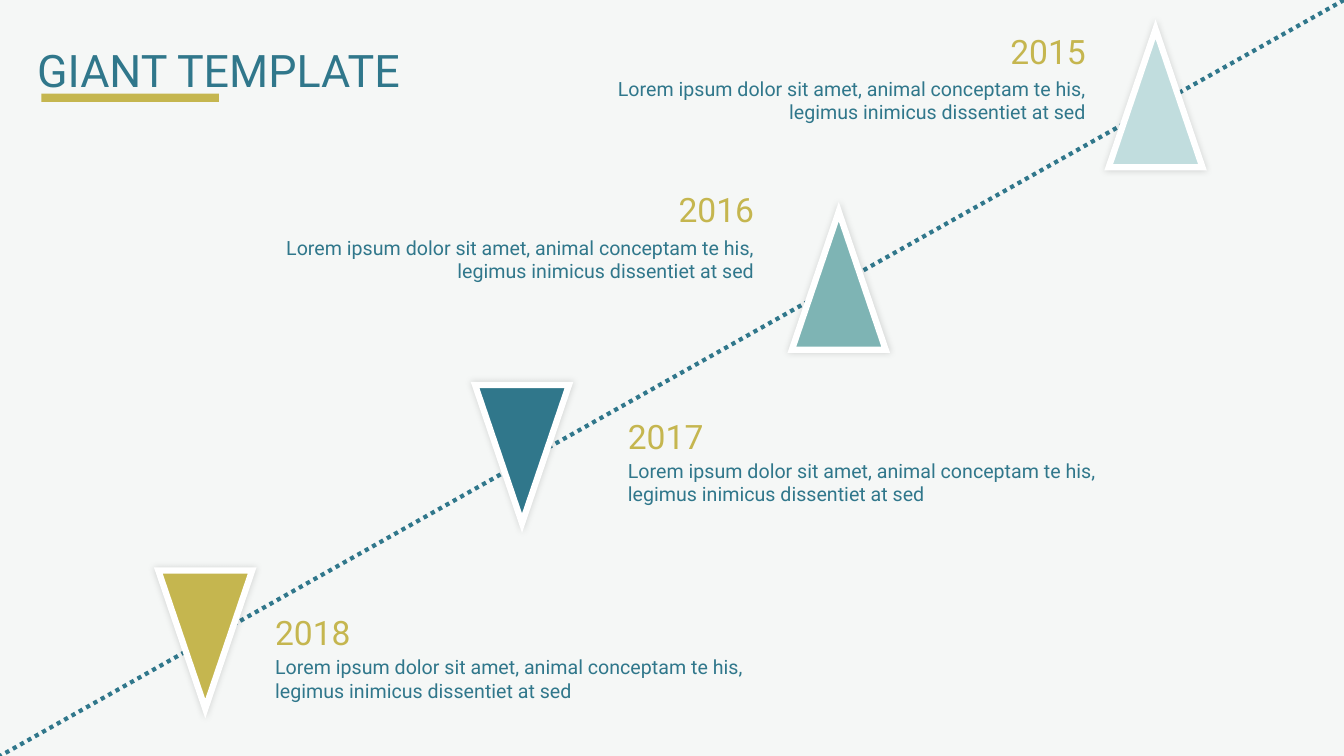
from lxml.etree import SubElement
from pptx import Presentation
from pptx.dml.color import RGBColor
from pptx.enum.dml import MSO_LINE
from pptx.enum.shapes import MSO_CONNECTOR, MSO_SHAPE
from pptx.enum.text import MSO_AUTO_SIZE as AutoSize, PP_ALIGN as Align
from pptx.oxml.ns import qn
from pptx.util import Inches, Pt

BACKGROUND = RGBColor(0xF5, 0xF7, 0xF6)
WHITE = RGBColor(0xFF, 0xFF, 0xFF)
TEAL = RGBColor(0x30, 0x77, 0x8B)
GOLD = RGBColor(0xC5, 0xB6, 0x4F)
SEA = RGBColor(0x7E, 0xB4, 0xB4)
MIST = RGBColor(0xC1, 0xDD, 0xDE)
FONT = "Roboto"
LOREM = "Lorem ipsum dolor sit amet, animal conceptam te his, legimus inimicus dissentiet at sed"

FIRST_LEFT, STEP = 11.78, 23.57
TRIANGLE_WIDTH, TRIANGLE_HEIGHT = 6.98, 18.27
BODY_WIDTH, BODY_HEIGHT = 38.25, 7.6
YEAR_WIDTH, YEAR_HEIGHT = 19.35, 5.07

presentation = Presentation()
presentation.slide_width = Inches(13.33)
presentation.slide_height = Inches(7.5)
slide = presentation.slides.add_slide(presentation.slide_layouts[6])
slide.background.fill.solid()
slide.background.fill.fore_color.rgb = BACKGROUND
shapes = slide.shapes


def percent_box(left, top, width, height):
    across, down = presentation.slide_width / 100, presentation.slide_height / 100
    return int(left * across), int(top * down), int(width * across), int(height * down)


def add_text(box, text, size, color, align=Align.LEFT, auto_size=AutoSize.SHAPE_TO_FIT_TEXT):
    frame = shapes.add_textbox(*percent_box(*box)).text_frame
    frame.word_wrap = True
    frame.auto_size = auto_size
    paragraph = frame.paragraphs[0]
    paragraph.text = text
    paragraph.alignment = align
    paragraph.font.name = FONT
    paragraph.font.size = Pt(size)
    paragraph.font.color.rgb = color
    return paragraph


path_line = shapes.add_connector(
    MSO_CONNECTOR.STRAIGHT, presentation.slide_width, 0, 0, presentation.slide_height)
path_line.line.color.rgb = TEAL
path_line.line.width = Pt(3)
path_line.line.dash_style = MSO_LINE.ROUND_DOT
SubElement(path_line._element.spPr, qn("a:effectLst"))

milestones = [
    ("2018", GOLD, 180, 75.47, 19.73, 80.93, 86, Align.LEFT),
    ("2017", TEAL, 180, 50.93, 45.98, 54.93, 60, Align.LEFT),
    ("2016", SEA, 0, 28, 18.6, 24.93, 30.53, Align.RIGHT),
    ("2015", MIST, 0, 3.87, 43.28, 4, 9.47, Align.RIGHT),
]
for index, (year, color, rotation, top, left, year_top, body_top, align) in enumerate(milestones):
    triangle = shapes.add_shape(
        MSO_SHAPE.ISOSCELES_TRIANGLE,
        *percent_box(FIRST_LEFT + index * STEP, top, TRIANGLE_WIDTH, TRIANGLE_HEIGHT))
    triangle.rotation = rotation
    triangle.fill.solid()
    triangle.fill.fore_color.rgb = color
    triangle.line.color.rgb = WHITE
    triangle.line.width = Pt(4.5)
    triangle.shadow.inherit = False
    properties = triangle._element.spPr
    SubElement(properties.find(qn("a:ln")), qn("a:miter"), lim="800000")
    shadow = SubElement(properties.find(qn("a:effectLst")), qn("a:outerShdw"),
                        blurRad=str(Pt(5)), dist="0", dir="0", algn="ctr", rotWithShape="0")
    shadow_color = SubElement(shadow, qn("a:srgbClr"), val="000000")
    SubElement(shadow_color, qn("a:alpha"), val="15000")

    year_left = left + (BODY_WIDTH - YEAR_WIDTH if align == Align.RIGHT else 0)
    add_text((left, body_top, BODY_WIDTH, BODY_HEIGHT), LOREM, 14, TEAL, align)
    heading = add_text((year_left, year_top, YEAR_WIDTH, YEAR_HEIGHT),
                       year, 24, GOLD, align, AutoSize.NONE)
    heading.line_spacing = 0.9
    heading.space_before = Pt(10)

add_text((2.03, 4.93, 49.43, 8.53), "GIANT TEMPLATE", 32, TEAL)
underline = shapes.add_shape(MSO_SHAPE.RECTANGLE, *percent_box(3.08, 12.4, 13.2, 1.07))
underline.fill.solid()
underline.fill.fore_color.rgb = GOLD
underline.line.fill.background()
underline.shadow.inherit = False

presentation.save("out.pptx")
